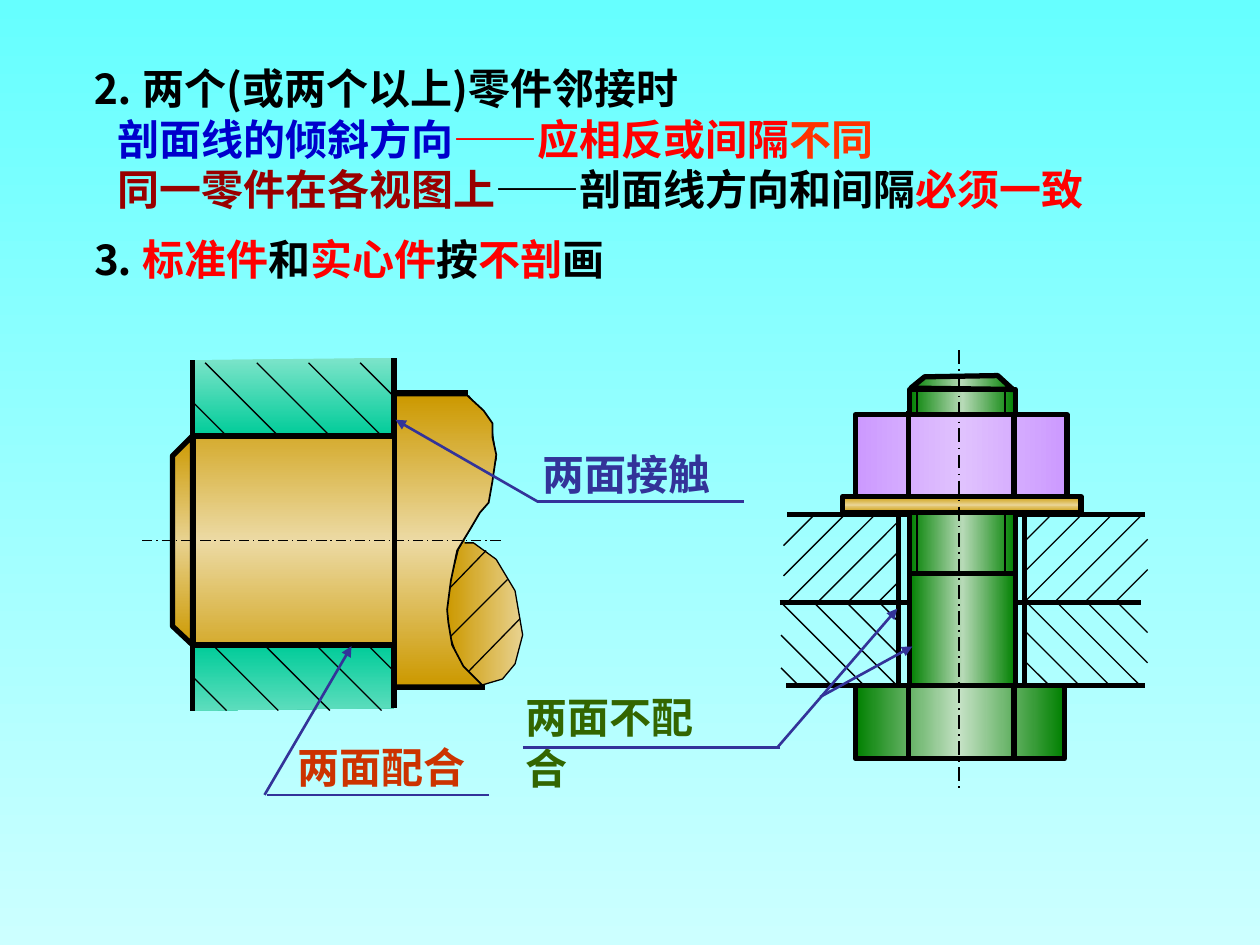
from lxml import etree
from pptx import Presentation
from pptx import util as u
from pptx.dml import color
from pptx.enum import dml, shapes, text
from pptx.oxml import ns

UNIT = 0.0254
FONT = "Noto Sans CJK SC"
COLORS = {
    "ink": "000000", "red": "FF0000", "orange": "FF3300", "blue": "0000CC",
    "maroon": "990000", "navy": "333399", "moss": "336600", "rust": "CC3300",
    "sky": "66FFFF", "ice": "CCFFFF", "green": "008000", "sage": "B7DAB7",
    "mint": "C4E1C4", "violet": "CC99FF", "lilac": "E0C2FE", "gold": "CC9900",
    "sand": "E8D290", "cream": "ECDAA4", "jade": "00CC99", "aqua": "5DDDBD",
    "foam": "7DE4CA",
}


def rgb(name):
    return color.RGBColor.from_string(COLORS[name])


def paint(fill, parent, names, angle):
    fill.solid()
    grad = etree.Element(ns.qn("a:gradFill"), rotWithShape="1")
    stops = etree.SubElement(grad, ns.qn("a:gsLst"))
    for i, name in enumerate(names):
        pos = str(100000 * i // (len(names) - 1))
        stop = etree.SubElement(stops, ns.qn("a:gs"), pos=pos)
        etree.SubElement(stop, ns.qn("a:srgbClr"), val=COLORS[name])
    etree.SubElement(grad, ns.qn("a:lin"), ang=str(angle * 60000), scaled="0")
    parent.replace(parent.find(ns.qn("a:solidFill")), grad)


class Sketch:
    def __init__(self, s, left, top):
        self.s, self.left, self.top = s, left, top

    def at(self, x, y):
        return u.Cm(self.left + x * UNIT), u.Cm(self.top + y * UNIT)

    def line(self, x1, y1, x2, y2, width=3, ink="ink", dash=False, arrow=False):
        c = self.s.shapes.add_connector(
            shapes.MSO_CONNECTOR.STRAIGHT, *self.at(x1, y1), *self.at(x2, y2))
        c.line.width = u.Pt(width)
        c.line.color.rgb = rgb(ink)
        if dash:
            c.line.dash_style = dml.MSO_LINE.LONG_DASH_DOT
        if arrow:
            etree.SubElement(c.line._get_or_add_ln(), ns.qn("a:headEnd"), type="triangle")
        etree.SubElement(c._element.spPr, ns.qn("a:effectLst"))

    def lines(self, *ends, **style):
        for end in ends:
            self.line(*end, **style)

    def finish(self, sp, names, angle, width):
        paint(sp.fill, sp._element.spPr, names, angle)
        sp.line.color.rgb = rgb("ink")
        sp.line.width = u.Pt(width)
        sp.shadow.inherit = False

    def rect(self, x, y, w, h, names, angle):
        sp = self.s.shapes.add_shape(
            shapes.MSO_SHAPE.RECTANGLE, *self.at(x, y), u.Cm(w * UNIT), u.Cm(h * UNIT))
        self.finish(sp, names, angle, 3)

    def outline(self, points, names, angle, width=3, close=False):
        start, *rest = [self.at(*pt) for pt in points]
        builder = self.s.shapes.build_freeform(*start)
        builder.add_line_segments(rest, close=close)
        self.finish(builder.convert_to_shape(), names, angle, width)

    def hatch(self, left, top, right, bottom, first, step, count, rising=False):
        for c in range(first, first + step * count, step):
            if rising:
                x1, x2 = max(left, c - bottom), min(right, c - top)
                self.line(x1, c - x1, x2, c - x2, 0.75)
            else:
                x1, x2 = max(left, top - c), min(right, bottom - c)
                self.line(x1, x1 + c, x2, x2 + c, 0.75)


def write(s, left, top, width, height, paragraphs, wrap=True):
    sp = s.shapes.add_textbox(u.Cm(left), u.Cm(top), u.Cm(width), u.Cm(height))
    tf = sp.text_frame
    tf.word_wrap = wrap
    tf.auto_size = text.MSO_AUTO_SIZE.SHAPE_TO_FIT_TEXT
    for i, (indent, runs) in enumerate(paragraphs):
        p = tf.paragraphs[0] if i == 0 else tf.add_paragraph()
        p.font.size, p.font.bold, p.font.name = u.Pt(24), True, FONT
        p_pr = p._p.get_or_add_pPr()
        p_pr.set("marL", str(u.Cm(indent)))
        etree.SubElement(p_pr.find(ns.qn("a:defRPr")), ns.qn("a:ea"), typeface=FONT)
        for words, ink in runs:
            r = p.add_run()
            r.text = words
            r.font.color.rgb = rgb(ink)


def rules(s, left, top):
    write(s, left, top, 22.86, 3.3, [
        (0, [("⒉ 两个(或两个以上)零件邻接时", "ink")]),
        (0.53, [("剖面线的倾斜方向", "blue"), ("——应相反或间隔", "red"), ("不同", "orange")]),
        (0.53, [("同一零件在各视图上", "maroon"), ("——剖面线方向和间隔", "ink"),
                ("必须一致", "red")]),
    ])
    write(s, left, top + 3.45, 12.98, 1.27, [
        (0, [("⒊ ", "ink"), ("标准件", "red"), ("和", "ink"), ("实心件", "red"),
             ("按", "ink"), ("不剖", "red"), ("画", "ink")]),
    ])


def bolt(s, left, top):
    d = Sketch(s, left, top)
    steel = ("green", "sage", "green")
    d.lines((15, 138, 299, 138), (9, 208, 296, 208))
    d.rect(112, 39, 84, 236, steel, 180)
    d.lines((14, 274, 299, 274), (103, 140, 103, 274), (203, 140, 203, 274),
            (111, 185, 196, 185))
    d.lines((188, 32, 188, 187), (118, 32, 118, 185), width=1)
    d.hatch(12, 138, 102, 207, 175, 24, 6, rising=True)
    d.hatch(203, 139, 301, 207, 363, 24, 6, rising=True)
    d.hatch(10, 208, 103, 274, 120, 26, 6)
    d.hatch(204, 208, 301, 274, 51, -24, 6)
    d.rect(69, 59, 168, 65, ("violet", "lilac", "violet"), 180)
    d.rect(59, 124, 189, 13, ("gold", "sand", "gold"), 90)
    d.lines((111, 56, 111, 125), (195, 59, 195, 122))
    d.rect(69, 274, 166, 58, ("green", "mint", "green"), 180)
    d.lines((111, 274, 111, 334), (195, 274, 195, 331))
    d.outline([(113, 38), (194, 39), (182, 28), (124, 29)], steel, 180, close=True)
    d.line(151, 8, 151, 357, 1, dash=True)


def shaft(s, left, top):
    d = Sketch(s, left, top)
    d.lines((203, 32, 262, 32), (203, 266, 275, 266))
    d.outline([(262, 34), (280, 57), (284, 84), (275, 120), (254, 156), (245, 191),
               (245, 206), (247, 224), (255, 247), (272, 264), (289, 259), (299, 247),
               (305, 224), (299, 189), (284, 164), (266, 151), (259, 151)],
              ("sand", "gold"), 180, 0.75)
    d.lines((276, 157, 245, 189), (293, 180, 245, 228), (303, 211, 262, 253), width=0.75)
    d.outline([(43, 232), (27, 217), (27, 82), (43, 66)],
              ("gold", "sand", "gold"), 90, close=True)
    d.outline([(261, 34), (274, 46), (281, 56), (281, 67), (284, 81), (281, 102),
               (278, 119), (271, 127), (264, 139), (253, 157), (248, 181), (245, 204),
               (246, 214), (249, 232), (258, 249), (273, 264), (203, 264), (203, 232),
               (45, 231), (45, 65), (203, 66), (203, 34)],
              ("gold", "cream", "gold"), 90, 1, close=True)
    d.outline([(43, 284), (43, 232), (203, 232), (203, 282)], ("jade", "aqua"), 90)
    d.outline([(43, 6), (43, 66), (203, 66), (203, 4)], ("foam", "jade"), 90)
    d.lines((43, 7, 43, 280), (203, 9, 203, 280), (41, 66, 203, 66), (41, 232, 205, 232))
    d.hatch(43, 8, 203, 66, -4, -41, 5)
    d.hatch(43, 233, 203, 284, 50, 41, 5)
    d.line(3, 149, 289, 149, 0.75, dash=True)


def callout(s, left, top, width, words, ink, shelf, arrows):
    write(s, left, top, width, 1.27, [(0, [(words, ink)])], wrap=False)
    d = Sketch(s, left, top)
    d.line(*shelf, 1.5, "navy")
    d.lines(*arrows, width=1.5, ink="navy", arrow=True)


def main():
    prs = Presentation()
    prs.slide_width, prs.slide_height = u.Cm(25.4), u.Cm(19.05)
    s = prs.slides.add_slide(prs.slide_layouts[6])
    fill = s.background.fill
    fill.solid()
    paint(fill, s._element.find(".//" + ns.qn("p:bgPr")), ("sky", "ice"), 90)
    rules(s, 1.59, 1.14)
    bolt(s, 15.49, 6.86)
    callout(s, 10.34, 13.82, 4.72, "两面不配合", "moss", (8, 49, 212, 49),
            [(305, -61, 210, 49), (317, -31, 244, 9)])
    shaft(s, 2.79, 7.11)
    callout(s, 10.69, 8.92, 3.89, "两面接触", "navy", (5, 47, 170, 47),
            [(-107, -18, 6, 47)])
    callout(s, 5.74, 14.83, 3.89, "两面配合", "rust", (-14, 47, 162, 47),
            [(53, -71, -16, 47)])
    prs.save("out.pptx")


if __name__ == "__main__":
    main()
